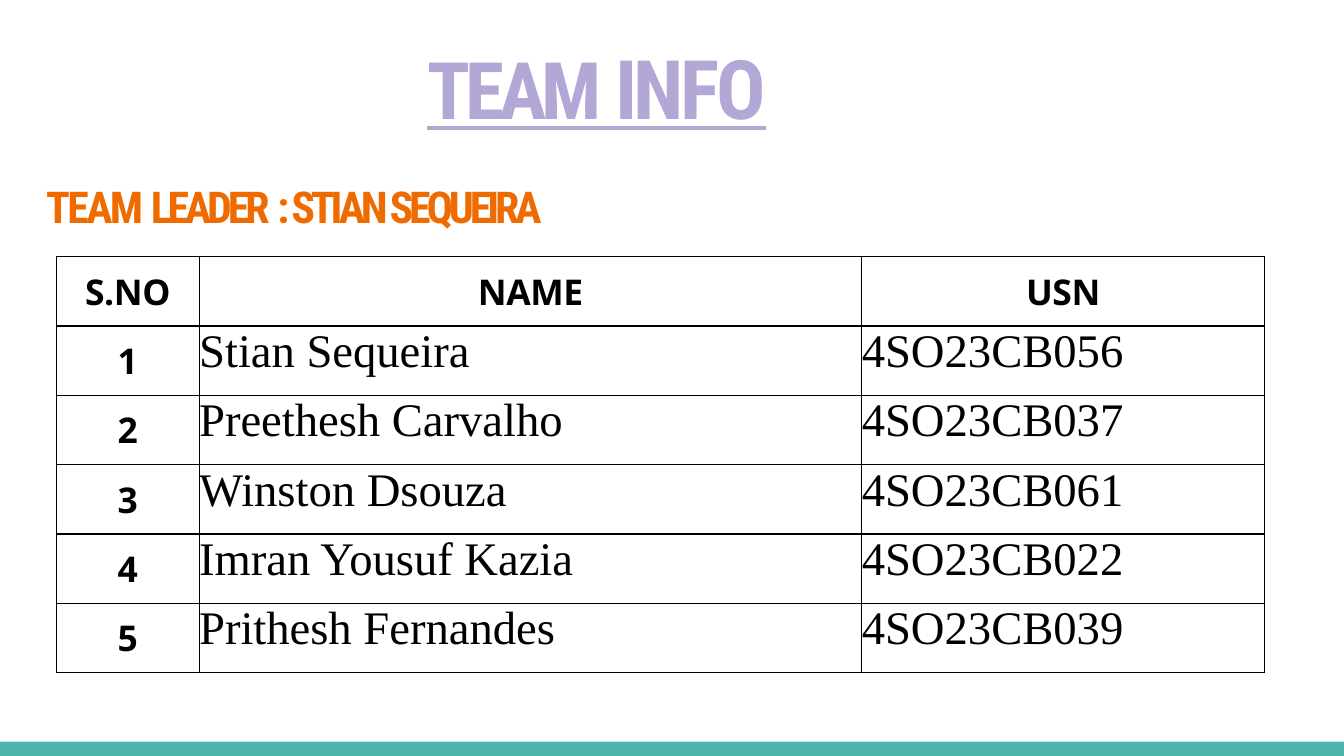
import pptx
import pptx.dml.color
import pptx.enum.shapes
import pptx.enum.text
import pptx.oxml
import pptx.oxml.ns
import pptx.util

Pt = pptx.util.Pt
ALIGN = pptx.enum.text.PP_ALIGN
TOP = pptx.enum.text.MSO_ANCHOR.TOP
HEAD = {"name": "Noto Sans", "size": Pt(19), "bold": True}
BODY = {"name": "Times New Roman", "size": Pt(25), "bold": False}
ROBO = {"name": "Roboto Condensed", "bold": True}
TEAM = [
    ("S.NO", "NAME", "USN"),
    ("1", "Stian Sequeira", "4SO23CB056"),
    ("2", "Preethesh Carvalho", "4SO23CB037"),
    ("3", "Winston Dsouza", "4SO23CB061"),
    ("4", "Imran Yousuf Kazia", "4SO23CB022"),
    ("5", "Prithesh Fernandes", "4SO23CB039"),
]


def color(code):
    """Turn a hex string into a colour."""
    return pptx.dml.color.RGBColor.from_string(code)


def style(item, form):
    """Set each attribute named in a dict of format values."""
    for key, val in form.items():
        setattr(item, key, val)


def add_run(para, text, form, code, gap=0):
    """Add a run with its font, colour and letter spacing in points."""
    run = para.add_run()
    run.text = text
    style(run.font, form)
    run.font.color.rgb = color(code)
    if gap:
        run.font._element.set("spc", str(round(gap * 100)))


def fill_box(shape, box, runs, code):
    """Place a text shape and fill it with one line of runs."""
    style(shape, dict(zip(("left", "top", "width", "height"), map(Pt, box))))
    frame = shape.text_frame
    style(frame, {
        "margin_left": Pt(0.7), "margin_top": Pt(1.5), "margin_right": 0,
        "margin_bottom": 0, "word_wrap": True, "vertical_anchor": TOP,
        "auto_size": pptx.enum.text.MSO_AUTO_SIZE.NONE,
    })
    para = frame.paragraphs[0]
    para.alignment = ALIGN.LEFT
    for text, form, gap in runs:
        add_run(para, text, {**ROBO, **form}, code, gap)


def add_edge(cell):
    """Draw a thin black line on all four sides of a cell."""
    props = cell._tc.get_or_add_tcPr()
    for side in "LRTB":
        props.append(pptx.oxml.parse_xml(
            f'<a:ln{side} {pptx.oxml.ns.nsdecls("a")} w="{Pt(0.75)}"><a:solidFill>'
            f'<a:srgbClr val="000000"/></a:solidFill></a:ln{side}>'))


def fill_cell(cell, text, head, gap):
    """Write one table cell as a bold label or as plain body text."""
    style(cell, {
        "margin_left": 0, "margin_right": 0, "margin_bottom": 0,
        "margin_top": Pt(5.75 if head else 0), "vertical_anchor": TOP,
    })
    add_edge(cell)
    cell.fill.background()
    para = cell.text_frame.paragraphs[0]
    para.alignment = ALIGN.CENTER if head else ALIGN.LEFT
    add_run(para, text, HEAD if head else BODY, "000000", gap)


def add_team(slide):
    """Add the table of team members."""
    wides, tall = (76.5, 355, 215.75), 37.15
    table = slide.shapes.add_table(
        len(TEAM), len(wides), Pt(30.25), Pt(137.5),
        Pt(sum(wides)), Pt(tall * len(TEAM))).table
    style(table, {"first_row": False, "horz_banding": False})
    for col, wide in zip(table.columns, wides):
        col.width = Pt(wide)
    for i, texts in enumerate(TEAM):
        table.rows[i].height = Pt(tall)
        for j, text in enumerate(texts):
            head = i == 0 or j == 0
            gap = -0.2 if i == 0 else -0.5 if head else 0
            fill_cell(table.cell(i, j), text, head, gap)


def add_bar(slide):
    """Add the teal bar along the bottom edge."""
    bar = slide.shapes.add_shape(
        pptx.enum.shapes.MSO_SHAPE.RECTANGLE, 0, Pt(397.4), Pt(720), Pt(7.6))
    bar.shadow.inherit = False
    bar.fill.solid()
    bar.fill.fore_color.rgb = color("4DB6AC")
    bar.line.fill.background()


def main():
    """Build the team slide and save it."""
    deck = pptx.Presentation()
    style(deck, {"slide_width": Pt(720), "slide_height": Pt(405)})
    slide = deck.slides.add_slide(deck.slide_layouts[5])
    add_bar(slide)
    fill_box(slide.shapes.title, (228.25, 18.75, 282.25, 105.75), [
        ("TEAM ", {"size": Pt(42.5), "underline": True}, -2.7),
        ("INFO", {"size": Pt(44), "underline": True}, -1.9),
    ], "B3A7D6")
    fill_box(slide.shapes.add_textbox(0, 0, 0, 0), (24, 95, 450, 29.5), [
        ("TEAM ", {"size": Pt(23.5)}, -1.4),
        ("LEADER  : STIAN SEQUEIRA", {"size": Pt(23.5)}, -2.2),
    ], "EF6B00")
    add_team(slide)
    deck.save("out.pptx")


if __name__ == "__main__":
    main()
